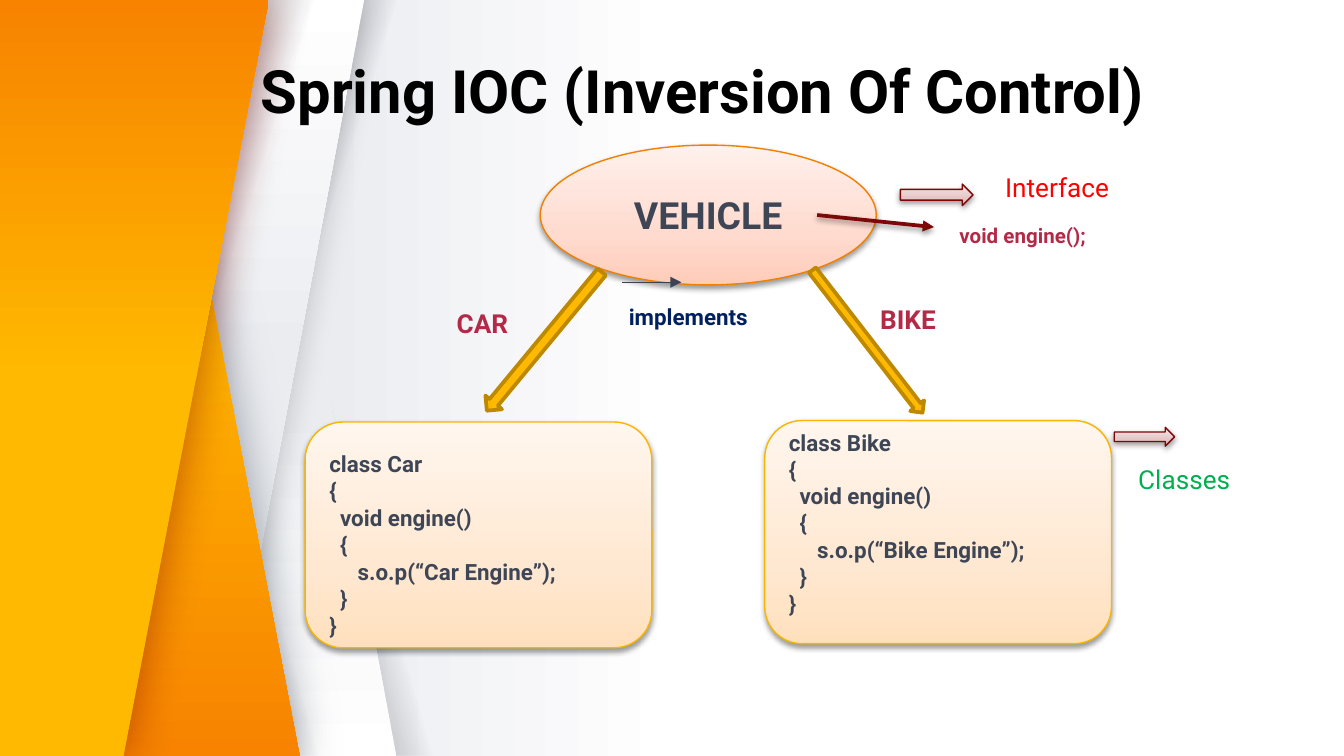
import pptx
import pptx.util
import pptx.oxml
import pptx.oxml.ns
import pptx.dml.color
import pptx.enum.shapes
import pptx.enum.text
import lxml.etree

Inches, Pt = pptx.util.Inches, pptx.util.Pt
RGB = pptx.dml.color.RGBColor
KIND = pptx.enum.shapes.MSO_SHAPE
ALIGN = pptx.enum.text.PP_ALIGN
ANCHOR = pptx.enum.text.MSO_ANCHOR
qn = pptx.oxml.ns.qn

WIDE = 10
HIGH = WIDE * 9 / 16

WHITE = RGB(0xFF, 0xFF, 0xFF)
BLACK = RGB(0, 0, 0)
MIST = RGB(0xEA, 0xEC, 0xF0)
SLATE = RGB(0x3E, 0x46, 0x55)
STEEL = RGB(0x3C, 0x44, 0x54)
COAL = RGB(0x27, 0x25, 0x2C)
GOLD = RGB(0xFF, 0xB9, 0x00)
BRONZE = RGB(0xBD, 0x89, 0x00)
AMBER = RGB(0xF9, 0xB5, 0x00)
ORANGE = RGB(0xF7, 0x83, 0x00)
RUST = RGB(0xF2, 0x80, 0x00)
WINE = RGB(0x7E, 0x08, 0x08)
BLOOD = RGB(0x7E, 0x05, 0x05)
ROSE = RGB(0xB3, 0x2A, 0x48)
RED = RGB(0xFF, 0, 0)
GREEN = RGB(0, 0xB0, 0x50)
NAVY = RGB(0, 0x20, 0x60)

PEACH = [(0, RGB(0xFF, 0xCC, 0xB9)), (35, RGB(0xFF, 0xDA, 0xCE)), (100, RGB(0xFF, 0xF1, 0xEC))]
CREAM = [(0, RGB(0xFF, 0xE0, 0xBD)), (35, RGB(0xFF, 0xE8, 0xD1)), (100, RGB(0xFF, 0xF6, 0xEE))]
BLUSH = [(0, RGB(0xDB, 0xAD, 0xAD)), (35, RGB(0xE5, 0xC6, 0xC6)), (100, RGB(0xF6, 0xE9, 0xE9))]
SILVER = [(0, WHITE), (47, MIST), (100, MIST)]
DROP = (BLACK, 38, 3.1, 1.6, 90)


def node(parent, tag, **vals):
    return lxml.etree.SubElement(parent, qn(tag), {k: str(v) for k, v in vals.items()})


def blend(parent, stops, angle):
    grad = pptx.oxml.parse_xml("<a:gradFill %s/>" % pptx.oxml.ns.nsdecls("a"))
    parent.replace(parent.find(qn("a:solidFill")), grad)
    items = node(grad, "a:gsLst")
    for pos, color, *alpha in stops:
        tint = node(node(items, "a:gs", pos=pos * 1000), "a:srgbClr", val=color)
        if alpha:
            node(tint, "a:alpha", val=alpha[0] * 1000)
    node(grad, "a:lin", ang=angle * 60000, scaled=0)


def shade(effects, color, alpha, blur, dist, angle):
    cast = node(effects, "a:outerShdw", blurRad=Pt(blur), dist=Pt(dist),
                dir=angle * 60000, algn="ctr", rotWithShape=0)
    node(node(cast, "a:srgbClr", val=color), "a:alpha", val=alpha * 1000)


def paint(shape, fill, angle=270, line=None, width=0.75, drop=None):
    shape.fill.solid()
    if isinstance(fill, RGB):
        shape.fill.fore_color.rgb = fill
    else:
        blend(shape._element.spPr, fill, angle)
    if line:
        shape.line.color.rgb, shape.line.width = line, Pt(width)
    else:
        shape.line.fill.background()
    shape.shadow.inherit = False
    if drop:
        shade(shape._element.spPr.find(qn("a:effectLst")), *drop)


def add(slide, kind, box, **look):
    shape = slide.shapes.add_shape(kind, *map(Inches, box))
    paint(shape, **look)
    return shape


def write(para, text, size, color, bold=True):
    run = para.add_run()
    run.text = text
    for key, val in {"name": "Roboto", "size": Pt(size), "bold": bold}.items():
        setattr(run.font, key, val)
    run.font.color.rgb = color


def label(slide, box, text, size, color, bold=True):
    frame = slide.shapes.add_textbox(*map(Inches, box)).text_frame
    frame.word_wrap = True
    write(frame.paragraphs[0], text, size, color, bold)


def arrow(slide, start, end, color, width, drop=None):
    line = slide.shapes.add_connector(pptx.enum.shapes.MSO_CONNECTOR.STRAIGHT,
                                      *map(Inches, start + end))
    line.line.color.rgb, line.line.width = color, Pt(width)
    props = line._element.spPr
    node(props.find(qn("a:ln")), "a:tailEnd", type="triangle")
    effects = node(props, "a:effectLst")
    if drop:
        shade(effects, *drop)


def slant(slide, box, adj, flip, fill, angle, drop=None):
    shape = add(slide, KIND.PARALLELOGRAM, box, fill=fill, angle=angle, drop=drop)
    shape.adjustments[0] = adj
    if flip:
        shape._element.spPr.find(qn("a:xfrm")).set("flipH", "1")


def panel(slide, points, angle, mid, tone):
    first, *rest = [(Inches(x), Inches(y)) for x, y in points]
    form = slide.shapes.build_freeform(*first, scale=1.0)
    form.add_line_segments(rest, close=True)
    paint(form.convert_to_shape(), [(0, GOLD), (mid, GOLD), (100, ORANGE)], angle,
          drop=(tone, 50, 24.8, 0, 0))


def decor(slide, box):
    left, top, wide, high = box
    foot = top + high

    def band(x):
        return left + x, top, wide, high

    def haze(x, flip):
        end = 55 if flip else 56
        slant(slide, band(x), 0.75, flip, [(0, SLATE), (13, SLATE), (end, COAL, 0), (100, COAL, 0)],
              196 if flip else 18)

    haze(1.07, True)
    slant(slide, band(0.65), 0.46, True, SILVER, 270)
    haze(0.65, False)
    slant(slide, band(0.41), 0.46, False, SILVER, 90, (BLACK, 20, 16.9, 0, 0))
    haze(0.22, True)
    panel(slide, [(left, top), (left, foot), (left + 2.23, foot), (left + 1.15, top)], 90, 37, SLATE)
    haze(0.03, False)
    panel(slide, [(left, foot), (left, top), (left + 2, top), (left + 0.92, foot)], 270, 50, WINE)


def head(slide, box, text):
    title = slide.shapes.title
    spots = zip(("left", "top", "width", "height"), map(Inches, box))
    for key, val in spots:
        setattr(title, key, val)
    frame = title.text_frame
    for key, val in {"word_wrap": True, "vertical_anchor": ANCHOR.TOP,
                     "auto_size": pptx.enum.text.MSO_AUTO_SIZE.NONE}.items():
        setattr(frame, key, val)
    frame.paragraphs[0].alignment = ALIGN.LEFT
    write(frame.paragraphs[0], text, 32, BLACK)
    slide.shapes._spTree.append(title._element)


def parent(slide, box):
    left, top, wide, high = box
    oval = add(slide, KIND.OVAL, box, fill=PEACH, line=RUST, drop=DROP)
    oval.text_frame.vertical_anchor = ANCHOR.MIDDLE
    para = oval.text_frame.paragraphs[0]
    para.alignment = ALIGN.CENTER
    write(para, "VEHICLE", 20, SLATE)
    for x, width, turn in ((-0.05, 0.16, 39.6), (2.37, 0.13, 322.3)):
        shaft = add(slide, KIND.DOWN_ARROW, (left + x, top + 0.79, width, 1.34),
                    fill=GOLD, line=BRONZE, width=2)
        shaft.rotation = turn
    arrow(slide, (left + 0.61, top + 1.02), (left + 1.05, top + 1.02), STEEL, 0.75)
    arrow(slide, (left + 2.06, top + 0.52), (left + 2.93, top + 0.61), WINE, 2, DROP)
    label(slide, (left + 0.56, top + 1.13, 1.19, 0.3), "implements", 12, NAVY)
    label(slide, (left + 3.02, top + 0.53, 1.67, 0.29), "void engine();", 11, ROSE)
    label(slide, (left - 0.72, top + 1.16, 1.05, 0.34), "CAR", 14, ROSE)
    label(slide, (left + 2.43, top + 1.13, 1.05, 0.34), "BIKE", 14, ROSE)


def child(slide, box, name, inset):
    card = add(slide, KIND.ROUNDED_RECTANGLE, box, fill=CREAM, line=AMBER, drop=DROP)
    frame = card.text_frame
    for key, val in {"word_wrap": True, "vertical_anchor": ANCHOR.TOP,
                     "margin_top": Inches(inset), "margin_bottom": 0}.items():
        setattr(frame, key, val)
    code = [(0, f"class {name}"), (0, "{"), (0.08, "void engine()"), (0.08, "{"),
            (0.21, f"s.o.p(“{name} Engine”);"), (0.08, "}"), (0, "}")]
    for row, (indent, text) in enumerate(code):
        para = frame.add_paragraph() if row else frame.paragraphs[0]
        para.alignment = ALIGN.LEFT
        para._p.get_or_add_pPr().set("marL", str(Inches(indent)))
        write(para, text, 12, SLATE)


def key(slide, box, spot, size, text, color):
    add(slide, KIND.RIGHT_ARROW, box, fill=BLUSH, line=BLOOD, drop=DROP)
    left, top, wide, high = box
    label(slide, (left + spot[0], top + spot[1], *size), text, 14, color, False)


def main():
    deck = pptx.Presentation()
    deck.slide_width, deck.slide_height = Inches(WIDE), Inches(HIGH)
    slide = deck.slides.add_slide(deck.slide_layouts[5])
    slide.background.fill.solid()
    blend(slide._element.find(".//" + qn("p:bgPr")),
          [(0, WHITE), (50, WHITE), (76, MIST), (100, MIST)], 180)
    decor(slide, (0, 0, 2.3, HIGH))
    parent(slide, (4.02, 1.08, 2.5, 1.04))
    child(slide, (2.27, 3.14, 2.58, 1.68), "Car", 0.13)
    child(slide, (5.69, 3.13, 2.58, 1.66), "Bike", -0.02)
    key(slide, (6.7, 1.37, 0.54, 0.16), (0.68, -0.14), (1.47, 0.34), "Interface", RED)
    key(slide, (8.29, 3.18, 0.45, 0.14), (0.08, 0.22), (0.95, 0.34), "Classes", GREEN)
    head(slide, (1.84, 0.35, 7.82, 0.64), "Spring IOC (Inversion Of Control)")
    deck.save("out.pptx")


if __name__ == "__main__":
    main()
